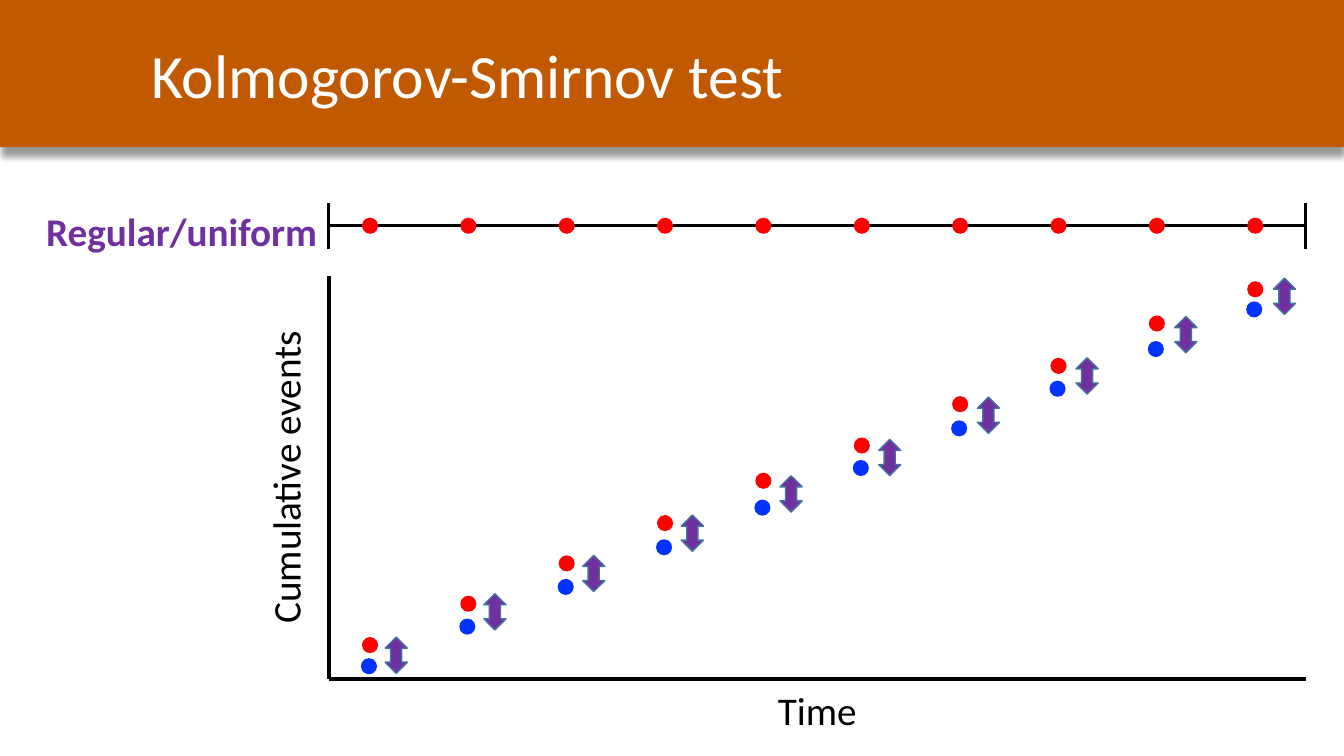
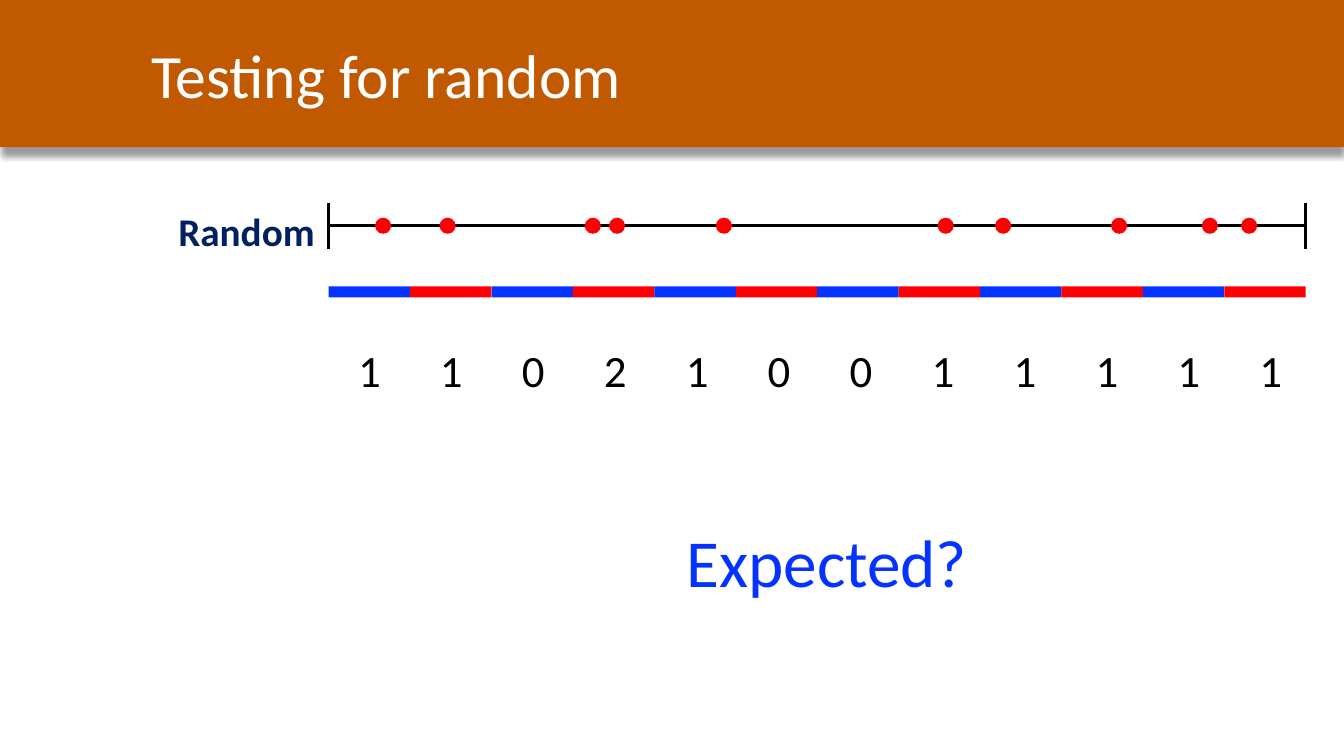
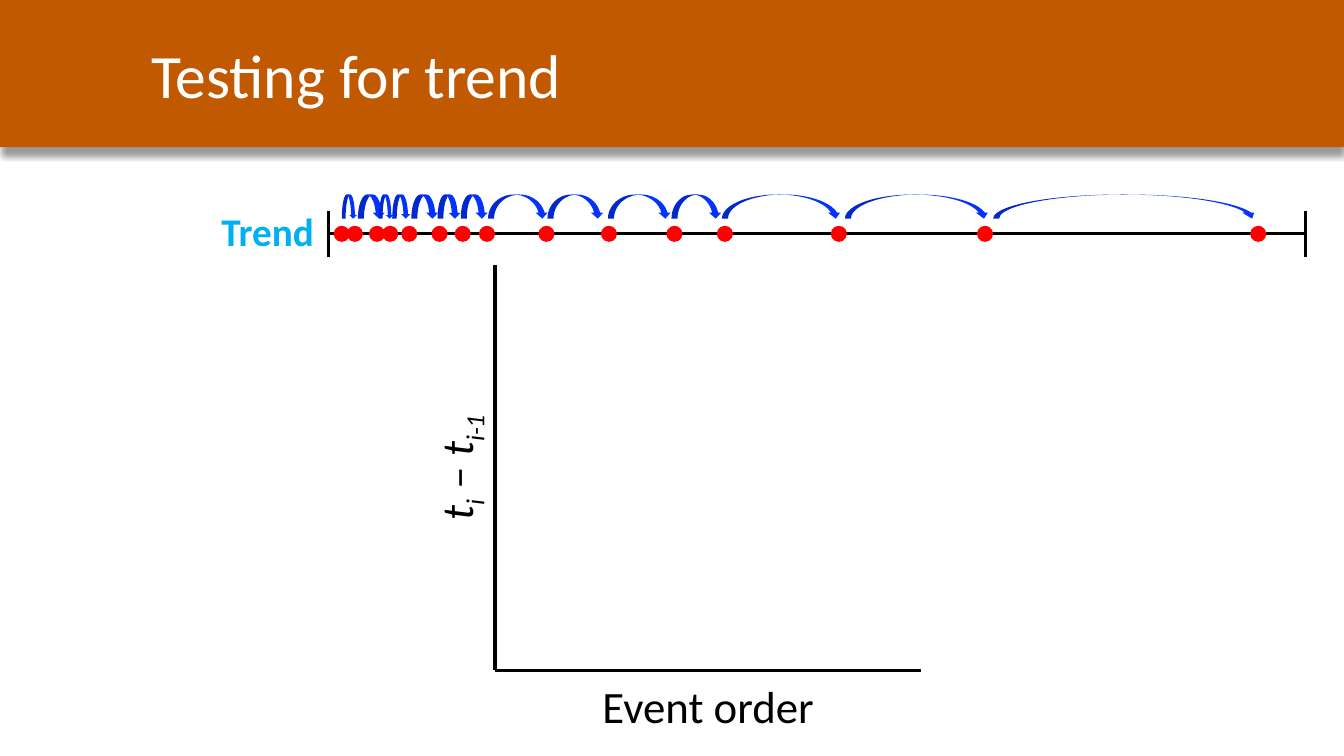
from lxml import etree
from pptx import Presentation
from pptx.dml.color import RGBColor
from pptx.enum.shapes import MSO_CONNECTOR, MSO_SHAPE
from pptx.enum.text import MSO_ANCHOR, MSO_AUTO_SIZE, PP_ALIGN
from pptx.oxml import parse_xml
from pptx.oxml.ns import nsdecls, qn
from pptx.util import Inches, Pt

BLACK = RGBColor(0x00, 0x00, 0x00)
WHITE = RGBColor(0xFF, 0xFF, 0xFF)
ORANGE = RGBColor(0xC1, 0x59, 0x00)
RED = RGBColor(0xFF, 0x00, 0x00)
BLUE = RGBColor(0x04, 0x32, 0xFF)
PURPLE = RGBColor(0x70, 0x30, 0xA0)
STEEL = RGBColor(0x43, 0x73, 0x9E)
NAVY = RGBColor(0x00, 0x20, 0x60)
SKY = RGBColor(0x00, 0xB0, 0xF0)

FONT = "Calibri"
LEFT, RIGHT = 3.26, 12.95
SPAN = RIGHT - LEFT
DOT = 0.16

REGULAR = [3.59 + i * 8.78 / 9 for i in range(10)]
RED_TOPS = [6.32, 5.91, 5.51, 5.11, 4.69, 4.34, 3.93, 3.55, 3.13, 2.79]
GAP_TOPS = [6.32, 5.89, 5.51, 5.11, 4.72, 4.36, 3.94, 3.55, 3.14, 2.76]
RANDOM = [3.72, 4.36, 5.8, 6.04, 7.1, 9.3, 9.87, 11.02, 11.92, 12.31]
COUNTS = [1, 1, 0, 2, 1, 0, 0, 1, 1, 1, 1, 1]
TREND = [3.31, 3.44, 3.66, 3.79, 3.98, 4.28, 4.51, 4.75, 5.34, 5.96,
         6.61, 7.11, 8.24, 9.69, 12.4]
HOPS = [(3.39, 0.15), (3.55, 0.27), (3.76, 0.14), (3.89, 0.18),
        (4.08, 0.27), (4.34, 0.23), (4.57, 0.27), (4.84, 0.6),
        (5.43, 0.56), (6.03, 0.63), (6.66, 0.5), (7.16, 1.19),
        (8.38, 1.44), (9.85, 2.63)]
FORMULA = [("t", 0), ("i", -25), (" – t", 0), ("i-1", -25)]

SHADOW = (
    f'<a:effectLst {nsdecls("a")}>'
    '<a:outerShdw blurRad="50800" dist="76200" dir="5400000" rotWithShape="0">'
    '<a:srgbClr val="000000"><a:alpha val="40000"/></a:srgbClr>'
    '</a:outerShdw></a:effectLst>'
)


def text(slide, box, words, size=28, color=BLACK, align=PP_ALIGN.CENTER,
         bold=False, italic=False, wrap=True, turn=0, middle=False):
    shape = slide.shapes.add_textbox(*map(Inches, box))
    shape.rotation = turn
    frame = shape.text_frame
    frame.word_wrap = wrap
    if middle:
        frame.vertical_anchor = MSO_ANCHOR.MIDDLE
    else:
        frame.auto_size = MSO_AUTO_SIZE.SHAPE_TO_FIT_TEXT
    para = frame.paragraphs[0]
    para.alignment = align
    for part, base in [(words, 0)] if isinstance(words, str) else words:
        run = para.add_run()
        run.text = part
        font = run.font
        font.name, font.size = FONT, Pt(size)
        font.bold, font.italic = bold, italic
        font.color.rgb = color
        if base:
            run._r.get_or_add_rPr().set("baseline", str(base * 1000))


def solid(slide, kind, box, fill, edge=None):
    shape = slide.shapes.add_shape(kind, *map(Inches, box))
    shape.shadow.inherit = False
    shape.fill.solid()
    shape.fill.fore_color.rgb = fill
    if edge is None:
        shape.line.fill.background()
    else:
        shape.line.color.rgb = edge
        shape.line.width = Pt(1)
    return shape


def line(slide, ends, width=2.25):
    rule = slide.shapes.add_connector(MSO_CONNECTOR.STRAIGHT, *map(Inches, ends))
    rule.line.color.rgb = BLACK
    rule.line.width = Pt(width)
    etree.SubElement(rule._element.spPr, qn("a:effectLst"))


def dots(slide, lefts, tops, color=RED):
    for x, y in zip(lefts, tops):
        solid(slide, MSO_SHAPE.OVAL, (x, y, DOT, DOT), color)


def axes(slide, left, top, right, base, width):
    line(slide, (left, top, left, base), width)
    line(slide, (left, base, right, base), width)


def track(slide, mid, lefts):
    line(slide, (LEFT, mid, RIGHT, mid))
    for x in (LEFT, RIGHT):
        line(slide, (x, mid - 0.23, x, mid + 0.23))
    dots(slide, lefts, [mid - DOT / 2] * len(lefts))


def page(deck, title):
    slide = deck.slides.add_slide(deck.slide_layouts[6])
    band = solid(slide, MSO_SHAPE.RECTANGLE, (0, 0, 13.33, 1.46), ORANGE)
    props = band._element.spPr
    props.replace(props.find(qn("a:effectLst")), parse_xml(SHADOW))
    text(slide, (1.4, 0.12, 11.93, 1.22), title, size=44, color=WHITE,
         align=PP_ALIGN.LEFT, middle=True)
    return slide


def smirnov(deck):
    slide = page(deck, "Kolmogorov-Smirnov test")
    axes(slide, LEFT, 2.74, RIGHT, 6.74, 3)
    text(slide, (0.34, 2.01, 2.92, 0.57), "Regular/uniform",
         color=PURPLE, bold=True, wrap=False)
    track(slide, 2.24, REGULAR)
    text(slide, (0.83, 4.45, 4, 0.57), "Cumulative events", turn=270)
    text(slide, (LEFT, 6.76, SPAN, 0.57), "Time")
    dots(slide, REGULAR, RED_TOPS)
    dots(slide, [x - 0.01 for x in REGULAR],
         [6.53 - i * 3.54 / 9 for i in range(10)], BLUE)
    for i, y in enumerate(GAP_TOPS):
        solid(slide, MSO_SHAPE.UP_DOWN_ARROW,
              (3.82 + i * 8.81 / 9, y, 0.22, 0.36), PURPLE, STEEL)


def random(deck):
    slide = page(deck, "Testing for random")
    track(slide, 2.24, RANDOM)
    text(slide, (1.66, 2.01, 1.57, 0.57), "Random",
         color=NAVY, bold=True, wrap=False)
    step = SPAN / len(COUNTS)
    for i, count in enumerate(COUNTS):
        solid(slide, MSO_SHAPE.RECTANGLE, (LEFT + i * step, 2.84, step, 0.11),
              RED if i % 2 else BLUE)
        text(slide, (LEFT + i * 8.94 / 11, 3.35, step, 0.64), str(count), size=32)
    text(slide, (6.71, 5.11, 3.02, 0.91), "Expected?", size=48, color=BLUE,
         align=PP_ALIGN.LEFT, wrap=False)


def trend(deck):
    slide = page(deck, "Testing for trend")
    track(slide, 2.32, TREND)
    axes(slide, 4.91, 2.63, 9.13, 6.65, 2.25)
    text(slide, (4.91, 6.68, 4.23, 0.64), "Event order", size=32)
    text(slide, (2.51, 4.32, 4.02, 0.64), FORMULA, size=32, italic=True, turn=270)
    for x, width in HOPS:
        solid(slide, MSO_SHAPE.CURVED_DOWN_ARROW, (x, 1.93, width, 0.24), BLUE)
    text(slide, (2.09, 2.01, 1.13, 0.57), "Trend",
         color=SKY, bold=True, wrap=False)


def main():
    deck = Presentation()
    deck.slide_width, deck.slide_height = Inches(13.33), Inches(7.5)
    for build in (smirnov, random, trend):
        build(deck)
    deck.save("out.pptx")


if __name__ == "__main__":
    main()
